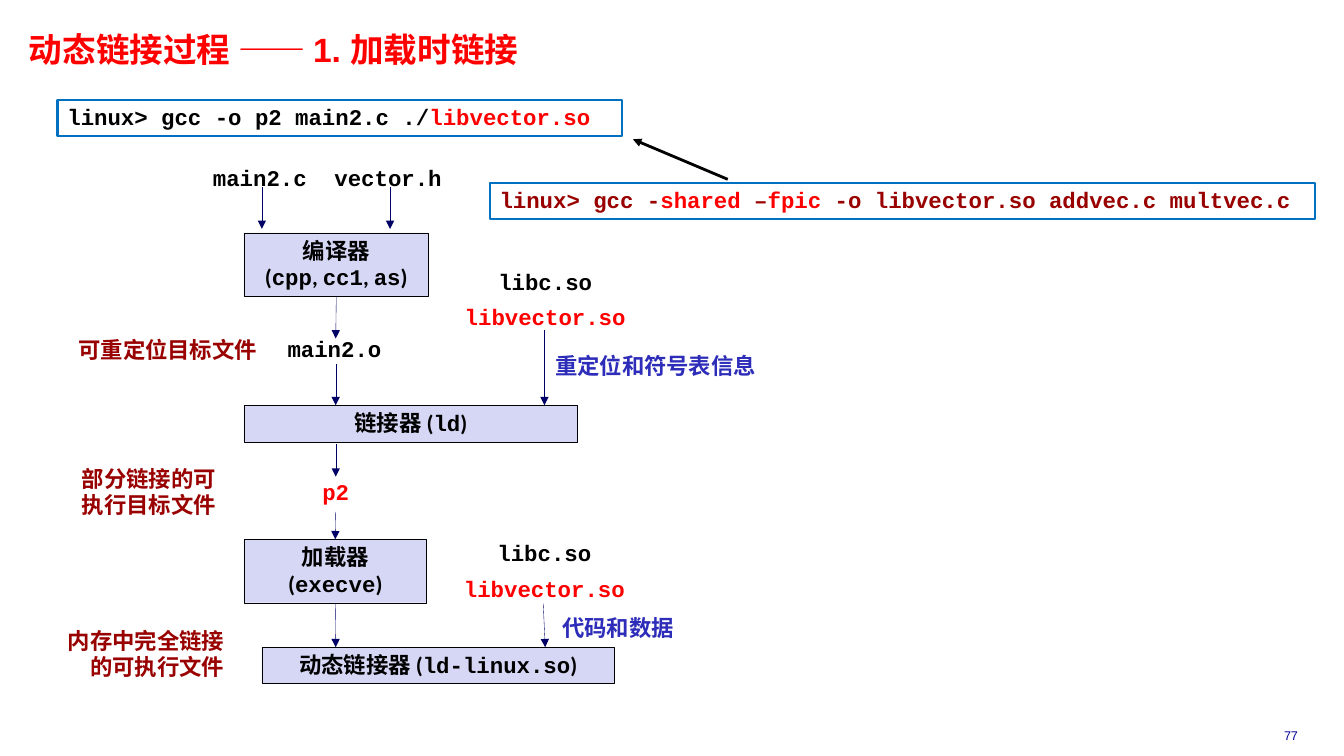
import pptx
import pptx.util
import pptx.dml.color
import pptx.enum.shapes
import pptx.enum.text
import pptx.oxml
import pptx.oxml.ns
from dataclasses import dataclass

Cm, Pt = pptx.util.Cm, pptx.util.Pt
Align = pptx.enum.text.PP_ALIGN
Anchor = pptx.enum.text.MSO_ANCHOR


@dataclass(frozen=True)
class Theme:
    red: str = "FF0000"
    maroon: str = "990000"
    blue: str = "2D2DB9"
    navy: str = "000066"
    page_blue: str = "000099"
    frame: str = "0070C0"
    fill: str = "D6D6F5"
    black: str = "000000"
    title_size: int = 24
    body_size: int = 16
    page_size: int = 9
    heading: str = "Arial"
    body: str = "Calibri"
    code: str = "Courier New"


theme = Theme()

# Content: a span is text, or (text, font, colour) where it differs; lengths in cm
TITLE = "动态链接过程 —— 1. 加载时链接"
PAGE_NUMBER = "77"


def code(text):
    return (text, theme.code, None)


def red(text):
    return (text, None, theme.red)


STEPS = {  # name: (left, top, width, height), paragraphs
    "compiler": ((6.15, 5.87, 4.65, 1.6), [
        ["编译器"],
        ["(", code("cpp"), ", ", code("cc1"), ", ", code("as"), ")"]]),
    "linker": ((6.15, 10.21, 8.41, 0.94), [["链接器 (", code("ld"), ")"]]),
    "loader": ((6.15, 13.59, 4.6, 1.6), [["加载器 (", code("execve"), ")"]]),
    "dynamic": ((6.6, 16.31, 8.89, 0.91),
                [["动态链接器 (", code("ld-linux.so"), ")"]]),
}
LIBRARIES = [["libc.so"], [red("libvector.so")]]
FILES = [  # centre, top, paragraphs
    (6.55, 4.06, [["main2.c"]]),
    (9.78, 4.06, [["vector.h"]]),
    (8.43, 8.38, [["main2.o"]]),
    (13.74, 6.68, LIBRARIES),
    (8.46, 11.99, [[red("p2")]]),
    (13.72, 13.51, LIBRARIES),
]
NOTES = [  # place, text, colour, alignment
    ((13.74, 8.79, 6.02, 0.94), "重定位和符号表信息", theme.blue, Align.LEFT),
    ((13.92, 15.39, 3.63, 0.94), "代码和数据", theme.blue, Align.LEFT),
    ((1.6, 8.38, 5.13, 0.94), "可重定位目标文件", theme.maroon, Align.RIGHT),
    ((1.45, 11.63, 4.24, 1.6), "部分链接的可执行目标文件", theme.maroon, Align.RIGHT),
    ((1.02, 15.7, 4.88, 1.6), "内存中完全链接的可执行文件", theme.maroon, Align.RIGHT),
]
COMMANDS = [  # place, spans, colour
    ((1.45, 2.51, 14.22, 0.91),
     ["linux> gcc -o p2 main2.c ./", red("libvector.so")], theme.black),
    ((12.34, 4.62, 20.8, 0.91),
     ["linux> gcc -", red("shared"), " –", red("fpic"),
      " -o libvector.so addvec.c multvec.c"], theme.maroon),
]
AXIS = 8.46
FLOWS = [  # start, end, step joined at its bottom, step joined at its top
    ((6.6, 4.72), (6.6, 5.77), None, None),
    ((9.83, 4.72), (9.83, 5.77), None, None),
    ((AXIS, 7.47), (AXIS, 8.53), "compiler", None),
    ((AXIS, 9.17), (AXIS, 10.21), None, None),
    ((AXIS, 11.2), (AXIS, 12.01), None, None),
    ((AXIS, 12.9), (AXIS, 13.59), None, "loader"),
    ((AXIS, 15.19), (AXIS, 16.31), "loader", None),
    ((13.72, 8.31), (13.72, 10.21), None, None),
    ((13.69, 15.21), (13.74, 16.31), None, None),
]
COMMAND_ARROW = ((18.34, 4.52), (15.95, 3.51))

CHAR_WIDTH, SIDE_INSET = 0.34, 0.25
LINE_HEIGHT = 0.91


def rgb(value):
    return pptx.dml.color.RGBColor.from_string(value)


def set_font(font, name, size, colour, bold=True):
    font.name, font.size, font.bold = name, Pt(size), bold
    font.color.rgb = rgb(colour)


def write(box, paragraphs, name, colour, align, spacing=0.98, wrap=True):
    frame = box.text_frame
    frame.word_wrap = wrap
    for index, spans in enumerate(paragraphs):
        para = frame.add_paragraph() if index else frame.paragraphs[0]
        para.alignment, para.line_spacing = align, spacing
        if index and name == theme.code:
            para.space_before = Pt(7.5)
        set_font(para.font, name, theme.body_size, colour)
        for item in spans:
            text, font_name, font_colour = (
                (item, None, None) if isinstance(item, str) else item)
            span = para.add_run()
            span.text = text
            if font_name:
                span.font.name = font_name
            if font_colour:
                span.font.color.rgb = rgb(font_colour)


def add_box(place, line, width, fill=None):
    box = page.shapes.add_shape(
        pptx.enum.shapes.MSO_SHAPE.RECTANGLE, *map(Cm, place))
    box.shadow.inherit = False
    if fill:
        box.fill.solid()
        box.fill.fore_color.rgb = rgb(fill)
    else:
        box.fill.background()
    box.line.color.rgb, box.line.width = rgb(line), Pt(width)
    return box


def add_arrow(start, end, colour, width):
    arrow = page.shapes.add_connector(
        pptx.enum.shapes.MSO_CONNECTOR.STRAIGHT, *map(Cm, start + end))
    arrow.line.color.rgb, arrow.line.width = rgb(colour), Pt(width)
    head = pptx.oxml.parse_xml(
        "<a:tailEnd %s type='triangle'/>" % pptx.oxml.ns.nsdecls("a"))
    arrow.line._get_or_add_ln().append(head)
    arrow._element.spPr.append(pptx.oxml.parse_xml(
        "<a:effectLst %s/>" % pptx.oxml.ns.nsdecls("a")))
    return arrow


deck = pptx.Presentation()
deck.slide_width, deck.slide_height = Cm(33.87), Cm(19.05)
page = deck.slides.add_slide(deck.slide_layouts[5])

# Title
title = page.shapes.title
title.left, title.top, title.width, title.height = map(Cm, (0.13, 0.71, 20.19, 1.19))
frame = title.text_frame
frame.text = TITLE
frame.auto_size = pptx.enum.text.MSO_AUTO_SIZE.NONE
frame.vertical_anchor = Anchor.MIDDLE
frame.margin_left, frame.margin_right = Cm(0.6), Cm(0.18)
frame.margin_top = frame.margin_bottom = Cm(0.08)
heading = frame.paragraphs[0]
heading.alignment, heading.line_spacing = Align.LEFT, 0.87
set_font(heading.font, theme.heading, theme.title_size, theme.red)

# Tool steps
steps = {}
for step, (place, paragraphs) in STEPS.items():
    steps[step] = add_box(place, theme.black, 0.25, theme.fill)
    write(steps[step], paragraphs, theme.body, theme.black, Align.CENTER)

# File names, as wide as their longest line
for centre, top, paragraphs in FILES:
    letters = max(len(item if isinstance(item, str) else item[0])
                  for spans in paragraphs for item in spans)
    width = letters * CHAR_WIDTH + 2 * SIDE_INSET
    box = page.shapes.add_textbox(Cm(centre - width / 2), Cm(top), Cm(width),
                                  Cm(LINE_HEIGHT * len(paragraphs)))
    write(box, paragraphs, theme.code, theme.black, Align.CENTER, 0.94, False)

# Side notes
for place, text, colour, align in NOTES:
    box = page.shapes.add_textbox(*map(Cm, place))
    write(box, [[text]], theme.body, colour, align)

# Commands
for place, spans, colour in COMMANDS:
    box = add_box(place, theme.frame, 1.5)
    write(box, [spans], theme.code, colour, Align.LEFT, 0.94)

# Arrows
for start, end, source, target in FLOWS:
    arrow = add_arrow(start, end, theme.navy, 0.25)
    if source:
        arrow.begin_connect(steps[source], 2)
    if target:
        arrow.end_connect(steps[target], 0)
add_arrow(*COMMAND_ARROW, theme.black, 2)

# Page number
number = page.shapes.add_textbox(*map(Cm, (31.34, 18.21, 2.39, 0.64)))
number.text_frame.text = PAGE_NUMBER
para = number.text_frame.paragraphs[0]
para.alignment = Align.CENTER
set_font(para.font, theme.heading, theme.page_size, theme.page_blue, False)

deck.save("out.pptx")
